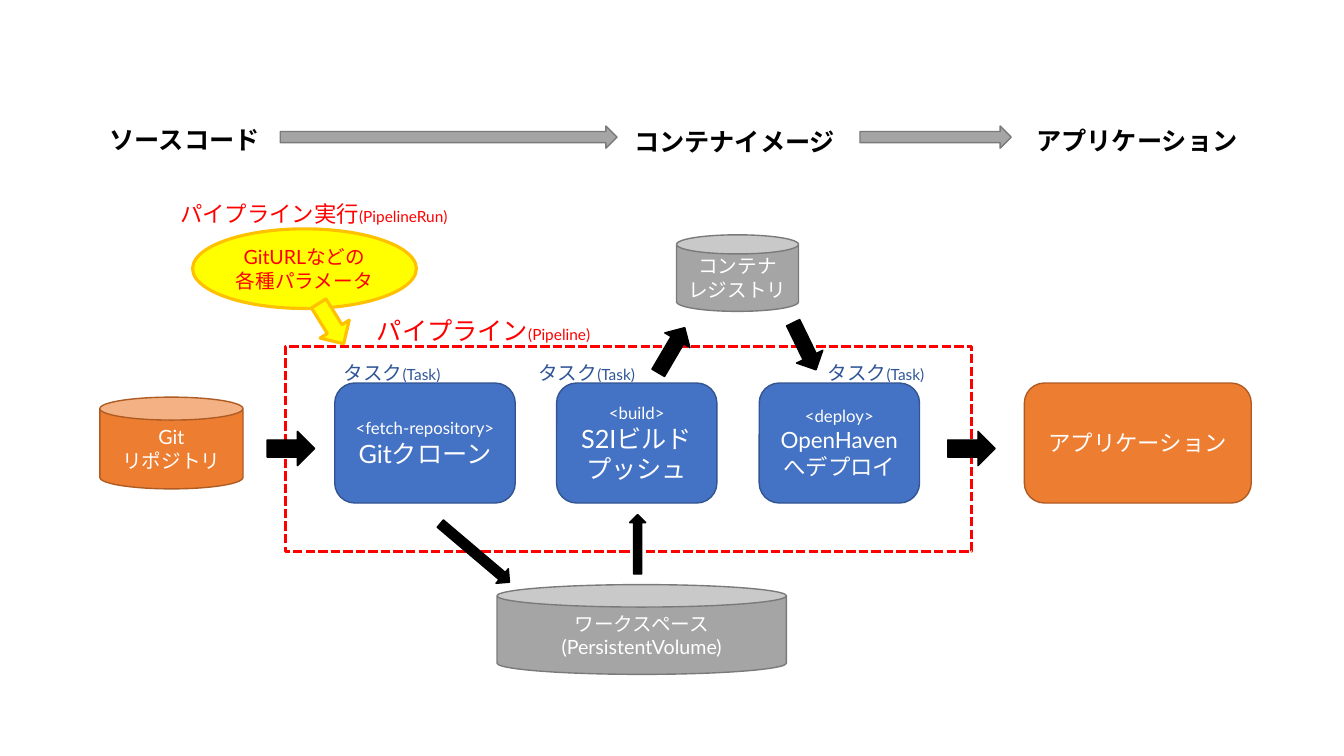
from pptx import Presentation
from pptx.dml.color import RGBColor
from pptx.enum.dml import MSO_LINE
from pptx.enum.shapes import MSO_SHAPE
from pptx.enum.text import MSO_ANCHOR, PP_ALIGN
from pptx.util import Inches, Pt

COLORS = {
    "black": "000000", "white": "FFFFFF", "red": "FF0000",
    "blue": "4472C4", "blue_line": "325491", "blue_text": "2F5597",
    "gray": "A5A5A5", "gray_line": "7A7A7A",
    "orange": "ED7D31", "orange_line": "AF5C24",
    "yellow": "FFFF00", "yellow_line": "FFC000",
}


def color(name):
    return RGBColor.from_string(COLORS[name])


def add_run(p, text, size=14, font="Lato", fill="white", bold=False):
    r = p.add_run()
    r.text = text
    r.font.name = font
    r.font.size = Pt(size)
    r.font.bold = bold
    r.font.color.rgb = color(fill)


class PipelineSlide:
    def __init__(self, prs, font="Lato"):
        self.s = prs.slides.add_slide(prs.slide_layouts[6])
        self.font = font

    def add_lines(self, tf, lines, align, **fmt):
        tf.word_wrap = True
        for i, runs in enumerate(lines):
            p = tf.paragraphs[0] if i == 0 else tf.add_paragraph()
            p.alignment = align
            for text, size in runs:
                add_run(p, text, size, self.font, **fmt)

    def shape(self, kind, at, fill, line, width=1, lines=(), text_fill="white"):
        sp = self.s.shapes.add_shape(kind, *map(Inches, at))
        sp.shadow.inherit = False
        if fill:
            sp.fill.solid()
            sp.fill.fore_color.rgb = color(fill)
        else:
            sp.fill.background()
        sp.line.color.rgb = color(line)
        sp.line.width = Pt(width)
        sp.text_frame.vertical_anchor = MSO_ANCHOR.MIDDLE
        self.add_lines(sp.text_frame, lines, PP_ALIGN.CENTER, fill=text_fill)
        return sp

    def box(self, at, hue, lines):
        self.shape(MSO_SHAPE.ROUNDED_RECTANGLE, at, hue, hue + "_line", lines=lines)

    def can(self, at, hue, *lines):
        self.shape(MSO_SHAPE.CAN, at, hue, hue + "_line",
                   lines=[[(text, 14)] for text in lines])

    def arrow(self, at, fill="black", line="black", width=1, rotation=0):
        sp = self.shape(MSO_SHAPE.RIGHT_ARROW, at, fill, line, width)
        sp.rotation = rotation

    def label(self, at, *runs, **fmt):
        sp = self.s.shapes.add_textbox(*map(Inches, at))
        self.add_lines(sp.text_frame, [runs], PP_ALIGN.LEFT, **fmt)


def main():
    prs = Presentation()
    prs.slide_width, prs.slide_height = Inches(13.33), Inches(7.5)
    slide = PipelineSlide(prs)

    frame = slide.shape(MSO_SHAPE.RECTANGLE, (2.83, 3.44, 6.81, 2.03), None, "red", 2.25)
    frame.line.dash_style = MSO_LINE.SQUARE_DOT

    row_top, row_height = 3.8, 1.19
    tasks = [
        (3.32, 1.79, 3.31, [("<fetch-repository>", 12)], [("Gitクローン", 18)]),
        (5.52, 1.59, 5.24, [("<build>", 12)], [("S2Iビルド", 18)], [("プッシュ", 18)]),
        (7.53, 1.59, 8.11, [("<deploy>", 12)], [("OpenHavenへデプロイ", 16)]),
    ]
    for left, width, _, *lines in tasks:
        slide.box((left, row_top, width, row_height), "blue", lines)

    slide.can((4.93, 5.8, 2.87, 0.89), "gray", "ワークスペース", "(PersistentVolume)")
    slide.can((0.99, 3.94, 1.42, 0.91), "orange", "Git", "リポジトリ")
    slide.can((6.71, 2.33, 1.21, 0.76), "gray", "コンテナ", "レジストリ")
    slide.box((10.16, row_top, 2.25, row_height), "orange", [[("アプリケーション", 16)]])

    for *at, rotation in [
        (2.65, 4.28, 0.47, 0.34, 0),
        (7.72, 3.29, 0.52, 0.29, 64.1),
        (6.4, 3.33, 0.52, 0.29, 300.4),
        (4.26, 5.39, 0.9, 0.19, 40.3),
        (6.03, 5.32, 0.59, 0.16, 270),
        (9.4, 4.28, 0.47, 0.34, 0),
    ]:
        slide.arrow(at, rotation=rotation)

    for left, top, width, stage in [
        (0.99, 1.18, 1.78, "ソースコード"),
        (6.19, 1.2, 2.42, "コンテナイメージ"),
        (10.18, 1.19, 2.42, "アプリケーション"),
    ]:
        slide.label((left, top, width, 0.4), (stage, 18), fill="black", bold=True)
    for left, width in [(2.78, 3.34), (8.53, 1.5)]:
        slide.arrow((left, 1.25, width, 0.22), "gray", "gray_line")

    slide.label((3.64, 3.08, 2.55, 0.4), ("パイプライン", 18), ("(Pipeline)", 11), fill="red")
    slide.shape(MSO_SHAPE.OVAL, (1.91, 2.27, 2.22, 0.79), "yellow", "yellow_line", 2.25,
                [[("GitURLなどの", 14)], [("各種パラメータ", 14)]], "red")
    slide.label((1.69, 1.94, 3.08, 0.37), ("パイプライン実行", 16), ("(PipelineRun)", 11),
                fill="red")
    slide.arrow((3.05, 3.04, 0.47, 0.34), "yellow", "yellow_line", 2.25, 58.3)

    for _, _, label_left, *_ in tasks:
        slide.label((label_left, 3.53, 1.39, 0.34), ("タスク", 14), ("(Task)", 11),
                    fill="blue_text")

    prs.save("out.pptx")


if __name__ == "__main__":
    main()
